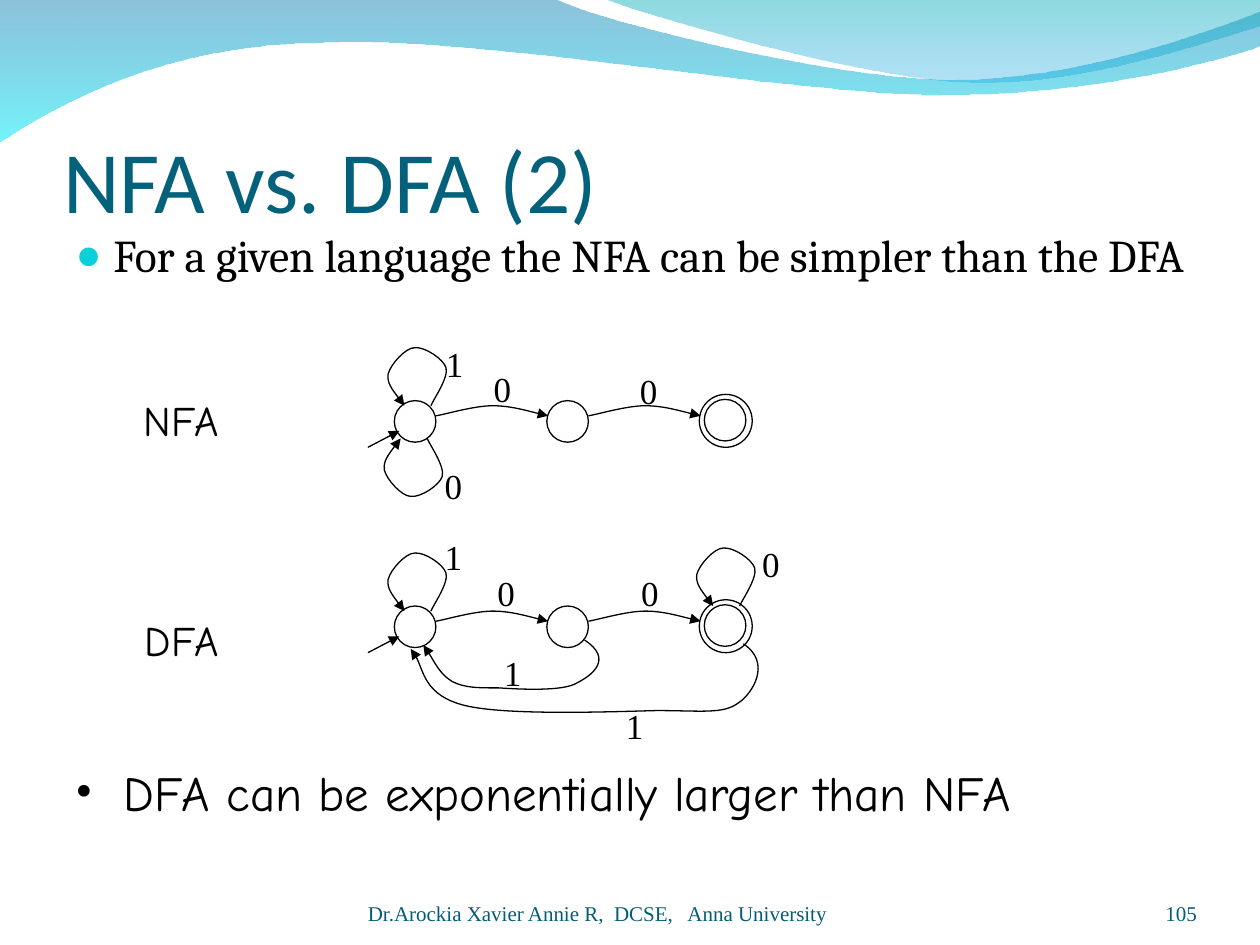
from lxml import etree
from pptx import Presentation
from pptx import util as u
from pptx.dml.color import RGBColor
from pptx.enum import shapes, text
from pptx.oxml.ns import qn

inch = u.Inches
rgb = RGBColor.from_string
serif, comic = "Times New Roman", "Comic Neue"

deck = Presentation()
deck.slide_width, deck.slide_height = inch(10), inch(7.5)
slide = deck.slides.add_slide(deck.slide_layouts[1])
tree = slide.shapes


def curve(nodes, lines=(), close=False):
    pts = [(inch(x), inch(y)) for x, y in nodes]
    pen = tree.build_freeform(*pts[0], scale=1.0)
    pen.add_line_segments(pts[1:], close=close)
    shape = pen.convert_to_shape()
    shape.shadow.inherit = False
    steps = list(shape._element.iter(qn("a:lnTo")))
    i = 0
    while i < len(nodes) - 1:
        if i + 1 in lines:
            i += 1
            continue
        bend = etree.Element(qn("a:cubicBezTo"))
        steps[i].addprevious(bend)
        for step in steps[i:i + 3]:
            bend.append(step[0])
            step.getparent().remove(step)
        i += 3
    return shape


def write(box, words, place, size, face, hue="000000", pad=(0.1, 0.05, 0.1, 0.05),
          wrap=True, low=False, align=text.PP_ALIGN.LEFT, mark=None):
    box.left, box.top, box.width, box.height = map(inch, place)
    frame = box.text_frame
    frame.text = words
    frame.word_wrap = wrap
    frame.auto_size = text.MSO_AUTO_SIZE.NONE if wrap else text.MSO_AUTO_SIZE.SHAPE_TO_FIT_TEXT
    frame.vertical_anchor = text.MSO_ANCHOR.BOTTOM if low else text.MSO_ANCHOR.TOP
    frame.margin_left, frame.margin_top, frame.margin_right, frame.margin_bottom = map(inch, pad)
    para = frame.paragraphs[0]
    if mark:
        char, tint, part, dent, font = mark
        prop = para._p.get_or_add_pPr()
        prop.set("marL", str(inch(dent)))
        prop.set("indent", str(-inch(dent)))
        ink = etree.SubElement(prop, qn("a:buClr"))
        etree.SubElement(ink, qn("a:srgbClr"), val=tint)
        etree.SubElement(prop, qn("a:buSzPct"), val=str(part * 1000))
        etree.SubElement(prop, qn("a:buFont"), typeface=font)
        etree.SubElement(prop, qn("a:buChar"), char=char)
    para.alignment = align
    para.space_before = u.Pt(0)
    para.font.size, para.font.name = u.Pt(size), face
    para.font.color.rgb = rgb(hue)


band = [(0, -0.01), (4.4, -0.01),
        (4.76, 0.17), (6.64, 0.63), (7.58, 0.63), (8.53, 0.63), (9.58, 0.26), (10, 0.09),
        (10.01, 0.36),
        (9.83, 0.44), (8.7, 0.76), (7.46, 0.75), (6.22, 0.75), (3.82, 0.28), (2.57, 0.34),
        (1.29, 0.35), (0.46, 0.83), (-0.01, 1.13)]
fan = [(4.79, -0.01), (5.09, 0.11), (6.82, 0.62), (7.69, 0.65),
       (8.56, 0.69), (9.61, 0.32), (10, 0.21), (10, 0)]
for nodes, lines, stops in ((band, (1, 8), (("0079AF", 45), ("00EBF8", 55))),
                            (fan, (7,), (("00ADB6", 45), ("009BE5", 30)))):
    wave = curve(nodes, lines, True)
    wave.line.fill.background()
    wave.fill.gradient()
    wave.fill.gradient_angle = 270
    for stop, (hue, part), spot in zip(wave.fill.gradient_stops, stops, (0, 1)):
        stop.color.rgb = rgb(hue)
        stop.position = spot
    for ink, (hue, part) in zip(wave._element.iter(qn("a:srgbClr")), stops):
        etree.SubElement(ink, qn("a:alpha"), val=str(part * 1000))

write(tree.title, "NFA vs. DFA (2)", (0.5, 0.58, 9, 1.25), 50, "Calibri", "04617B",
      (0, 0.05, 0, 0), low=True)
write(slide.placeholders[1], "For a given language the NFA can be simpler than the DFA",
      (0.5, 1.75, 9.08, 1), 26, "Cambria", mark=("●", "0BD0D9", 95, 0.3, "Arial"))

loop = [(3.42, 3.22), (3.44, 3.17), (3.56, 3), (3.54, 2.92), (3.52, 2.85), (3.37, 2.75),
        (3.29, 2.76), (3.22, 2.76), (3.1, 2.89), (3.08, 2.97), (3.07, 3.04), (3.14, 3.13), (3.21, 3.22)]
arc = [(3.46, 3.3), (3.53, 3.29), (3.76, 3.22), (3.91, 3.22), (4.05, 3.22), (4.26, 3.28), (4.35, 3.3)]
paths = [
    [(x - 0.03, 6.7 - y) for x, y in loop],
    [(x + 2.45, y + 1.59) for x, y in loop],
    [(4.64, 5.08), (4.87, 5.23), (4.7, 5.36), (4.58, 5.42), (4.47, 5.49), (4.12, 5.47), (3.96, 5.46),
     (3.79, 5.46), (3.69, 5.46), (3.59, 5.41), (3.49, 5.35), (3.41, 5.18), (3.36, 5.12)],
    [(5.9, 5.11), (6.13, 5.26), (5.97, 5.51), (5.86, 5.58), (5.74, 5.67), (5.57, 5.64), (5.21, 5.64),
     (4.84, 5.65), (4.02, 5.68), (3.69, 5.6), (3.37, 5.52), (3.35, 5.24), (3.26, 5.15)],
]
edges = []
for drop in (0, 1.63):
    for x, y, size in ((3.13, 3.18, 0.33), (4.34, 3.18, 0.33), (5.59, 3.17, 0.33), (5.55, 3.13, 0.42)):
        state = tree.add_shape(shapes.MSO_SHAPE.OVAL, inch(x), inch(y + drop), inch(size), inch(size))
        state.shadow.inherit = False
        state.fill.background()
        state.line.color.rgb = rgb("000000")
        state.line.width = u.Pt(0.75)
    start = tree.add_connector(shapes.MSO_CONNECTOR.STRAIGHT, inch(2.92), inch(3.55 + drop),
                               inch(3.17), inch(3.42 + drop))
    etree.SubElement(start._element.spPr, qn("a:effectLst"))
    edges.append(start)
    for nodes, shift in ((loop, 0), (arc, 0), (arc, 1.21)):
        paths.append([(x + shift, y + drop) for x, y in nodes])

for nodes in paths:
    edge = curve(nodes)
    edge.fill.background()
    edges.append(edge)
for edge in edges:
    edge.line.color.rgb = rgb("000000")
    edge.line.width = u.Pt(0.75)
    etree.SubElement(edge.line._get_or_add_ln(), qn("a:tailEnd"), type="triangle")

for sign, x, y in (("1", 3.44, 2.67), ("0", 3.82, 2.87), ("0", 4.98, 2.88), ("0", 3.43, 3.64),
                   ("1", 3.43, 4.2), ("0", 3.85, 4.49), ("0", 4.99, 4.49), ("0", 5.95, 4.26),
                   ("1", 3.9, 5.12), ("1", 4.87, 5.54)):
    write(tree.add_textbox(0, 0, 0, 0), sign, (x, y, 0.34, 0.44), 20, serif, wrap=False)
for name, x, y in (("NFA", 1.04, 3.08), ("DFA", 1.05, 4.83)):
    write(tree.add_textbox(0, 0, 0, 0), name, (x, y, 0.8, 0.5), 24, comic, wrap=False)

write(tree.add_textbox(0, 0, 0, 0), "DFA can be exponentially larger than NFA",
      (0.5, 6, 9.08, 0.67), 28, comic, mark=("•", "000000", 100, 0.38, serif))
for words, x, wide, align in (
        ("Dr.Arockia Xavier Annie R,  DCSE,   Anna University", 2.92, 3.67, text.PP_ALIGN.LEFT),
        ("105", 8.67, 0.83, text.PP_ALIGN.RIGHT)):
    write(tree.add_textbox(0, 0, 0, 0), words, (x, 6.95, wide, 0.4), 12, serif, "045C75",
          (0, 0, 0, 0), low=True, align=align)

deck.save("out.pptx")
